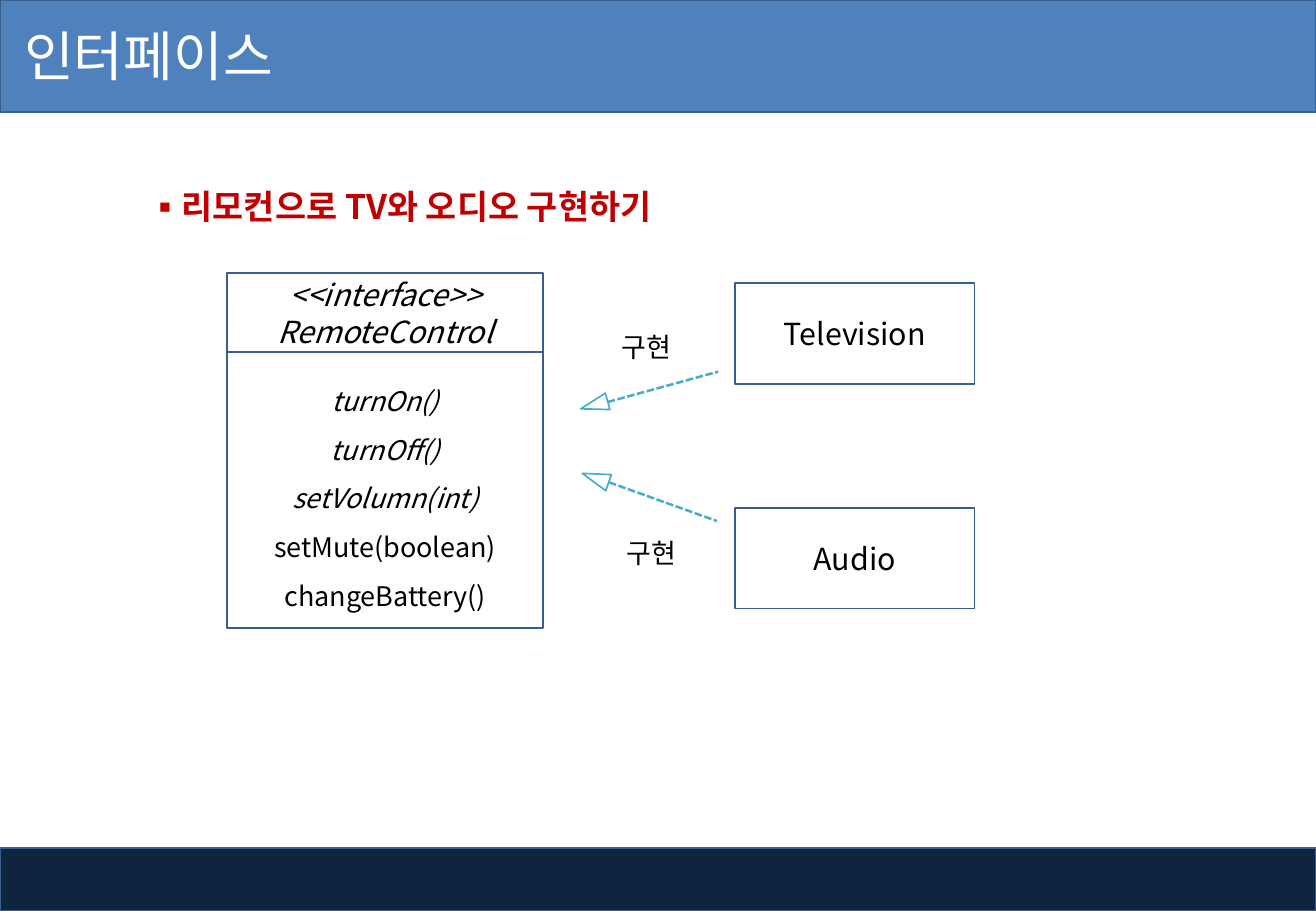
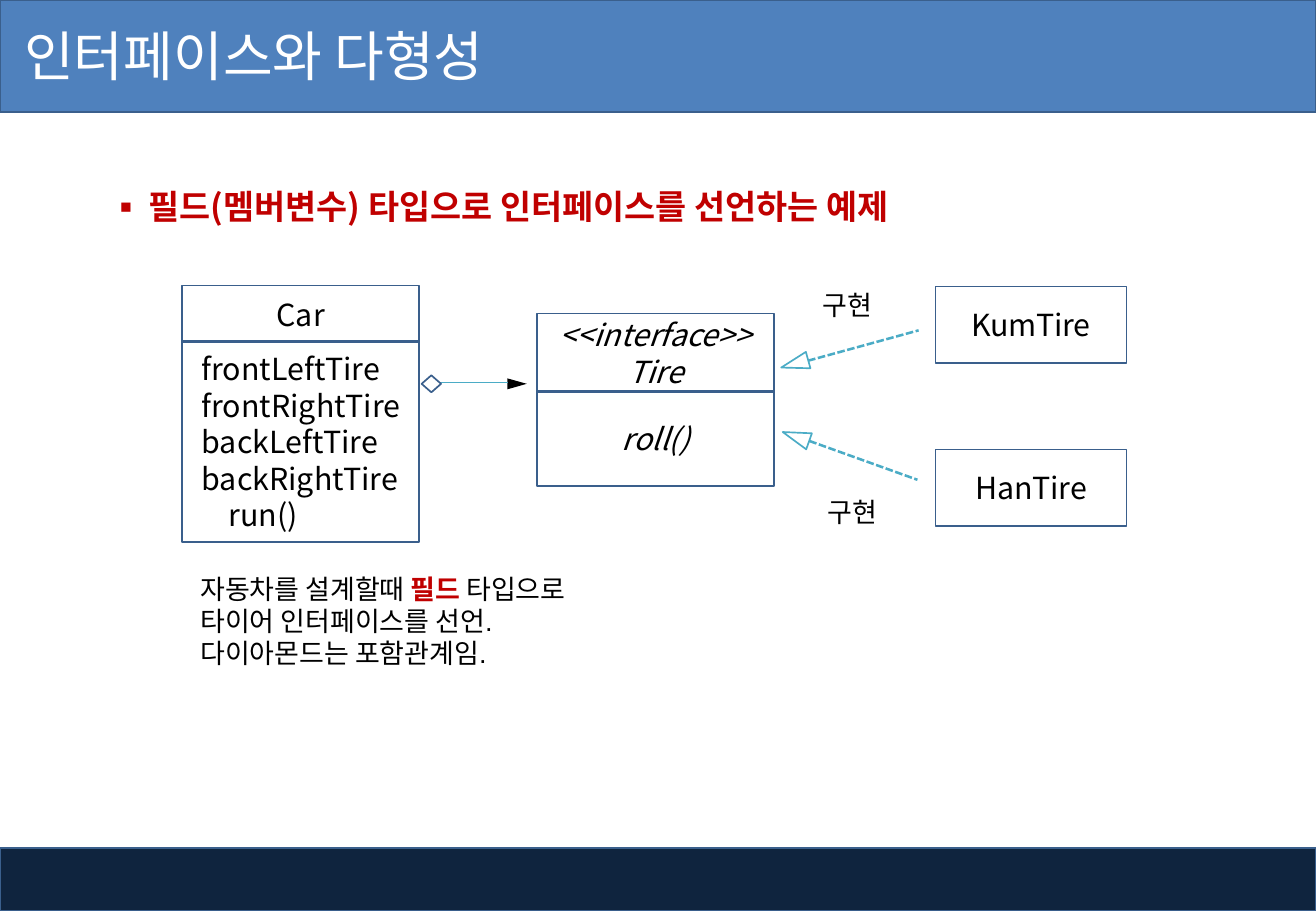
from pptx import Presentation
from pptx.dml.color import RGBColor
from pptx.enum.dml import MSO_LINE
from pptx.enum.shapes import MSO_CONNECTOR, MSO_SHAPE
from pptx.enum.text import MSO_ANCHOR, PP_ALIGN
from pptx.oxml.ns import qn
from pptx.util import Inches, Pt
from lxml.etree import SubElement

WHITE = RGBColor(0xFF, 0xFF, 0xFF)
BLACK = RGBColor(0x00, 0x00, 0x00)
RED = RGBColor(0xC0, 0x00, 0x00)
BLUE = RGBColor(0x4F, 0x81, 0xBD)
NAVY = RGBColor(0x0F, 0x24, 0x3E)
OUTLINE = RGBColor(0x3A, 0x5F, 0x8C)
TEAL = RGBColor(0x4B, 0xAC, 0xC6)
FONT = "Noto Sans CJK KR"
NOTE_FONT = "Arial"
SLIDE_WIDTH, SLIDE_HEIGHT = 10.83, 7.5
BAND_HEIGHT, FOOTER_HEIGHT = 0.92, 0.52

ITALIC = {"italic": True}
KEY = {"color": RED, "bold": True}

SLIDES = [
    {
        "title": "인터페이스",
        "heading": ("리모컨으로 TV와 오디오 구현하기", 1.12, 6.19, 0.25),
        "arrows": (4.82, 2.67),
        "boxes": [
            ((6.05, 2.33, 1.97, 0.83), [("Television", {})], {}),
            ((6.05, 4.18, 1.97, 0.83), [("Audio", {})], {}),
            ((1.87, 2.25, 2.6, 0.65),
             [("<<interface>>", ITALIC), ("RemoteControl", ITALIC)], {}),
            ((1.87, 2.9, 2.6, 2.27),
             [("turnOn()", ITALIC), ("turnOff()", ITALIC), ("setVolumn(int)", ITALIC),
              ("setMute(boolean)", {}), ("changeBattery()", {})],
             {"size": 16, "spacing": 1.5}),
        ],
    },
    {
        "title": "인터페이스와 다형성",
        "heading": ("필드(멤버변수) 타입으로 인터페이스를 선언하는 예제", 0.8, 7.45, 0.32),
        "arrows": (6.47, 2.33),
        "boxes": [
            ((1.5, 2.35, 1.95, 0.47), [("Car", {})], {}),
            ((1.5, 2.81, 1.95, 1.65),
             [("frontLeftTire", {}), ("frontRightTire", {}), ("backLeftTire", {}),
              ("backRightTire", {}), ("run()", {"indent": 0.22})],
             {"align": PP_ALIGN.LEFT, "margin": 0.16}),
            ((7.7, 2.36, 1.57, 0.63), [("KumTire", {})], {}),
            ((7.7, 3.7, 1.57, 0.63), [("HanTire", {})], {}),
            ((4.42, 2.58, 1.95, 0.65), [("<<interface>>", ITALIC), ("Tire", ITALIC)], {}),
            ((4.42, 3.22, 1.95, 0.78), [("roll()", ITALIC)], {}),
        ],
    },
]

IMPLEMENT_LABEL = "구현"
IMPLEMENT_ARROWS = [
    {"head": (0, 0.55), "turn": 254.5, "line": (0.18, 0.64, 1.09, 0.39), "label": (0.2, 0)},
    {"head": (0.01, 1.15), "turn": 289.5, "line": (0.19, 1.3, 1.08, 1.62), "label": (0.24, 1.7)},
]

NOTE = [
    [("자동차를 설계할때 ", {}), ("필드", KEY), (" 타입으로 타이어 인터페이스를 선언.", {})],
    [("다이아몬드는 포함관계임.", {})],
]


def add_run(paragraph, text, size, color=BLACK, bold=False, italic=False, font=FONT):
    run = paragraph.add_run()
    run.text = text
    run.font.size = Pt(size)
    run.font.bold = bold
    run.font.italic = italic
    run.font.color.rgb = color
    run.font.name = font
    SubElement(run.font._element, qn("a:ea"), typeface=FONT)


def next_paragraph(frame, index):
    return frame.add_paragraph() if index else frame.paragraphs[0]


def add_shape(slide, kind, place, fill=None, line=None, turn=0):
    shape = slide.shapes.add_shape(kind, *map(Inches, place))
    shape.shadow.inherit = False
    shape.rotation = turn
    if fill is None:
        shape.fill.background()
    else:
        shape.fill.solid()
        shape.fill.fore_color.rgb = fill
    if line is None:
        shape.line.fill.background()
    else:
        shape.line.color.rgb = line
        shape.line.width = Pt(1)
    return shape


def add_text_box(slide, place, anchor=MSO_ANCHOR.TOP):
    frame = slide.shapes.add_textbox(*map(Inches, place)).text_frame
    frame.word_wrap = True
    frame.vertical_anchor = anchor
    return frame


def add_line(slide, ends, width, dash=None):
    connector = slide.shapes.add_connector(MSO_CONNECTOR.STRAIGHT, *map(Inches, ends))
    connector.line.color.rgb = TEAL
    connector.line.width = Pt(width)
    if dash:
        connector.line.dash_style = dash
    SubElement(connector._element.spPr, qn("a:effectLst"))


def add_frame(slide, title):
    footer_top = SLIDE_HEIGHT - FOOTER_HEIGHT
    add_shape(slide, MSO_SHAPE.RECTANGLE, (0, footer_top, SLIDE_WIDTH, FOOTER_HEIGHT), NAVY, OUTLINE)
    add_shape(slide, MSO_SHAPE.RECTANGLE, (0, 0, SLIDE_WIDTH, BAND_HEIGHT), BLUE, OUTLINE)
    frame = add_text_box(slide, (0, 0, 6.78, 0.9), MSO_ANCHOR.MIDDLE)
    frame.margin_left = Inches(0.2)
    add_run(frame.paragraphs[0], title, 32, WHITE)


def add_heading(slide, text, left, width, hang):
    paragraph = add_text_box(slide, (left, 1.31, width, 0.55)).paragraphs[0]
    properties = paragraph._p.get_or_add_pPr()
    properties.set("marL", str(Inches(hang)))
    properties.set("indent", str(-Inches(hang)))
    SubElement(properties, qn("a:buFont"), typeface=FONT)
    SubElement(properties, qn("a:buChar"), char="▪")
    paragraph.line_spacing = 1.5
    add_run(paragraph, text, 20, RED, bold=True)


def add_class_box(slide, place, lines, size=18, spacing=None, align=PP_ALIGN.CENTER, margin=0.1):
    frame = add_shape(slide, MSO_SHAPE.RECTANGLE, place, line=OUTLINE).text_frame
    frame.word_wrap = True
    frame.vertical_anchor = MSO_ANCHOR.MIDDLE
    frame.margin_left = Inches(margin)
    for index, (text, style) in enumerate(lines):
        paragraph = next_paragraph(frame, index)
        paragraph.alignment = align
        paragraph.line_spacing = spacing
        if "indent" in style:
            paragraph._p.get_or_add_pPr().set("marL", str(Inches(style["indent"])))
        add_run(paragraph, text, size, italic=style.get("italic", False))


def add_implement_arrows(slide, left, top):
    for arrow in IMPLEMENT_ARROWS:
        head_x, head_y = arrow["head"]
        x1, y1, x2, y2 = arrow["line"]
        label_x, label_y = arrow["label"]
        add_shape(slide, MSO_SHAPE.ISOSCELES_TRIANGLE, (left + head_x, top + head_y, 0.14, 0.23),
                  WHITE, TEAL, arrow["turn"])
        add_line(slide, (left + x1, top + y1, left + x2, top + y2), 1.5, MSO_LINE.SQUARE_DOT)
        frame = add_text_box(slide, (left + label_x, top + label_y, 0.72, 0.37))
        add_run(frame.paragraphs[0], IMPLEMENT_LABEL, 16)


def add_composition_arrow(slide):
    add_shape(slide, MSO_SHAPE.ISOSCELES_TRIANGLE, (4.21, 3.08, 0.09, 0.16), BLACK, turn=90)
    add_line(slide, (4.18, 3.15, 3.62, 3.15), 1)
    add_shape(slide, MSO_SHAPE.DIAMOND, (3.47, 3.09, 0.16, 0.14), line=OUTLINE)


def add_note(slide):
    frame = add_shape(slide, MSO_SHAPE.ROUNDED_RECTANGLE, (1.5, 4.58, 3.68, 1.06), WHITE).text_frame
    frame.word_wrap = True
    frame.vertical_anchor = MSO_ANCHOR.MIDDLE
    for index, runs in enumerate(NOTE):
        paragraph = next_paragraph(frame, index)
        paragraph.alignment = PP_ALIGN.LEFT
        for text, style in runs:
            add_run(paragraph, text, 16, font=NOTE_FONT, **style)


def main():
    presentation = Presentation()
    presentation.slide_width = Inches(SLIDE_WIDTH)
    presentation.slide_height = Inches(SLIDE_HEIGHT)
    for content in SLIDES:
        slide = presentation.slides.add_slide(presentation.slide_layouts[6])
        add_frame(slide, content["title"])
        add_heading(slide, *content["heading"])
        add_implement_arrows(slide, *content["arrows"])
        for place, lines, options in content["boxes"]:
            add_class_box(slide, place, lines, **options)
    add_composition_arrow(slide)
    add_note(slide)
    presentation.save("out.pptx")


if __name__ == "__main__":
    main()
